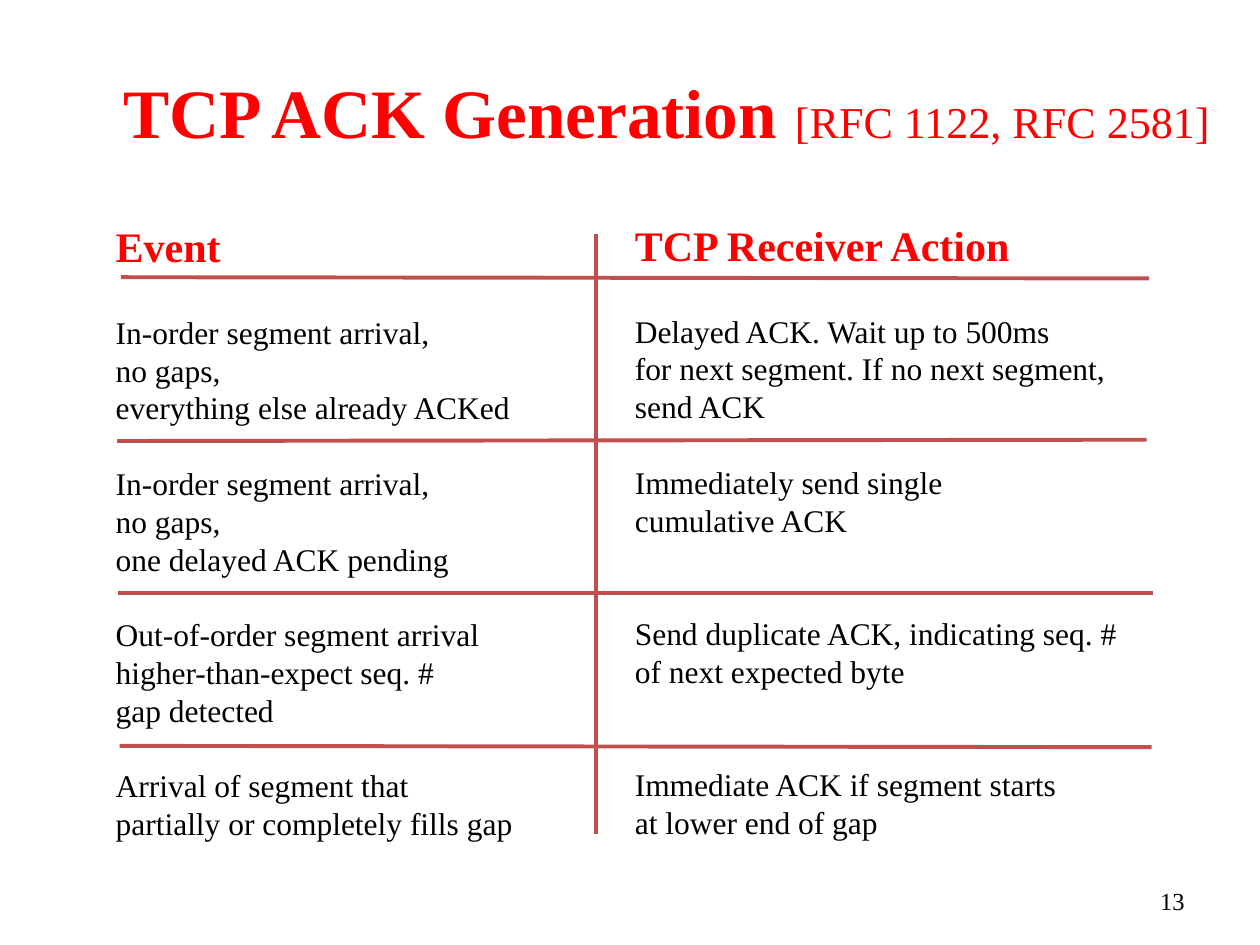
from lxml import etree
from pptx import Presentation
from pptx.dml.color import RGBColor
from pptx.enum.shapes import MSO_CONNECTOR
from pptx.enum.text import MSO_ANCHOR, MSO_AUTO_SIZE, PP_ALIGN
from pptx.oxml.ns import qn
from pptx.util import Inches, Pt

HUES = {"head": "FF0000", "text": "000000", "rule": "C0504D"}
FONT = "Times New Roman"
LEAD = 1.2  # line height per point of type
BODY = 18
LINE = BODY * LEAD

deck = Presentation()
deck.slide_width, deck.slide_height = Inches(10), Inches(7.5)
slide = deck.slides.add_slide(deck.slide_layouts[6])


def add_box(left, top, width, height, anchor=MSO_ANCHOR.TOP, wrap=True):
    box = slide.shapes.add_textbox(*map(Inches, (left, top, width, height)))
    frame = box.text_frame
    frame.word_wrap = wrap
    frame.vertical_anchor = anchor
    return frame


def add_run(para, text, size, hue, bold=False):
    run = para.add_run()
    run.text = text
    font = run.font
    font.name, font.size, font.bold = FONT, Pt(size), bold
    font.color.rgb = RGBColor.from_string(HUES[hue])


# Title
para = add_box(0.58, 0.25, 9.42, 1.25, MSO_ANCHOR.MIDDLE).paragraphs[0]
para.alignment = PP_ALIGN.CENTER
para.line_spacing = Pt(39.6 * LEAD)
add_run(para, "TCP ACK Generation ", 39.6, "head", True)
add_run(para, "[RFC 1122, RFC 2581]", 25.2, "head")

# Slide number
para = add_box(7.17, 6.95, 2.33, 0.4, MSO_ANCHOR.MIDDLE).paragraphs[0]
para.alignment = PP_ALIGN.RIGHT
add_run(para, "13", 14, "text")

# Columns: place, wrap, heading, then the lines of each row
columns = [
    ((0.82, 1.7, 3.8, 5.76), True, "Event", [
        ["In-order segment arrival,", "no gaps,",
         "everything else already ACKed"],
        ["In-order segment arrival,", "no gaps,",
         "one delayed ACK pending"],
        ["Out-of-order segment arrival", "higher-than-expect seq. #",
         "gap detected"],
        ["Arrival of segment that", "partially or completely fills gap"],
    ]),
    ((4.94, 1.69, 4.07, 5.76), False, "TCP Receiver Action", [
        ["Delayed ACK. Wait up to 500ms",
         "for next segment. If no next segment,", "send ACK"],
        ["Immediately send single", "cumulative ACK"],
        ["Send duplicate ACK, indicating seq. #", "of next expected byte"],
        ["Immediate ACK if segment starts", "at lower end of gap"],
    ]),
]
for place, wrap, head, rows in columns:
    frame = add_box(*place, wrap=wrap)
    frame.auto_size = MSO_AUTO_SIZE.SHAPE_TO_FIT_TEXT
    para = frame.paragraphs[0]
    para.line_spacing = Pt(24 * LEAD)
    add_run(para, head, 24, "head", True)
    gap = 24
    for row in rows:
        for i, text in enumerate(row):
            para = frame.add_paragraph()
            para.line_spacing = Pt(LINE)
            para.space_before = Pt(0 if i else gap)
            add_run(para, text, BODY, "text")
        # Every row is three lines tall, plus one line between rows
        gap = LINE * (4 - len(row))

# Rules between the rows and the columns
rules = [
    (0.96, 2.2, 9.12, 2.21),
    (0.93, 3.5, 9.1, 3.49),
    (0.94, 4.71, 9.15, 4.71),
    (0.95, 5.92, 9.14, 5.93),
    (4.73, 1.86, 4.73, 6.62),
]
for ends in rules:
    rule = slide.shapes.add_connector(MSO_CONNECTOR.STRAIGHT, *map(Inches, ends))
    rule.line.color.rgb = RGBColor.from_string(HUES["rule"])
    rule.line.width = Pt(2.25)
    etree.SubElement(rule._element.spPr, qn("a:effectLst"))

deck.save("out.pptx")
